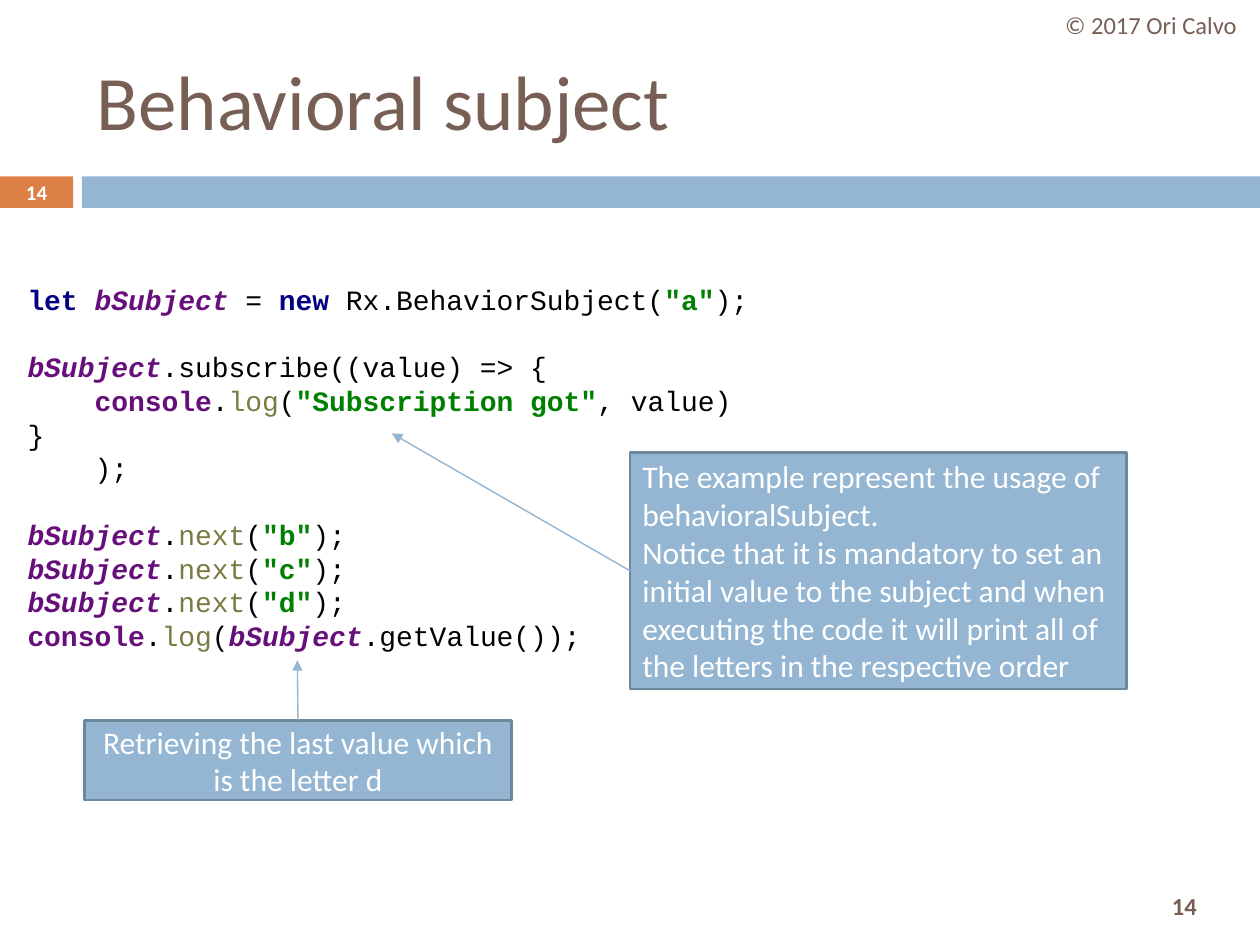
from pptx import Presentation
from pptx.dml.color import RGBColor
from pptx.enum.shapes import MSO_CONNECTOR, MSO_SHAPE
from pptx.enum.text import MSO_ANCHOR, PP_ALIGN
from pptx.oxml.ns import qn
from pptx.util import Inches, Pt
from lxml import etree

RECT = MSO_SHAPE.RECTANGLE
STRAIGHT = MSO_CONNECTOR.STRAIGHT
MIDDLE = MSO_ANCHOR.MIDDLE
LEFT, CENTER = PP_ALIGN.LEFT, PP_ALIGN.CENTER

WHITE = RGBColor(0xFF, 0xFF, 0xFF)
BLACK = RGBColor(0, 0, 0)
BROWN = RGBColor(0x77, 0x5F, 0x55)
ORANGE = RGBColor(0xDD, 0x80, 0x47)
BLUE = RGBColor(0x94, 0xB6, 0xD2)
EDGE = RGBColor(0x6D, 0x87, 0x9B)
NAVY = RGBColor(0, 0, 0x80)
PURPLE = RGBColor(0x66, 0x0E, 0x7A)
GREEN = RGBColor(0, 0x80, 0)
OLIVE = RGBColor(0x7A, 0x7A, 0x43)

SANS, MONO = "Calibri", "Courier New"
CODE_SIZE = 16

# Code styles: colour, bold, italic
PLAIN = (BLACK, False, False)
KEY = (NAVY, True, False)
VAR = (PURPLE, True, True)
GLOBAL = (PURPLE, True, False)
STR = (GREEN, True, False)
CALL = (OLIVE, False, False)


def push(letter):
    return [("bSubject", VAR), (".", PLAIN), ("next", CALL), ("(", PLAIN),
            (f'"{letter}"', STR), (");", PLAIN)]


LOG = [("console", GLOBAL), (".", PLAIN), ("log", CALL), ("(", PLAIN)]
CODE = [
    [("let ", KEY), ("bSubject ", VAR), ("= ", PLAIN), ("new ", KEY),
     ("Rx.BehaviorSubject(", PLAIN), ('"a"', STR), (");", PLAIN)],
    [],
    [("bSubject", VAR), (".subscribe((value) => {", PLAIN)],
    [("    ", PLAIN), *LOG, ('"Subscription got"', STR), (", value)", PLAIN)],
    [("}", PLAIN)],
    [("    );", PLAIN)],
    [],
    *[push(letter) for letter in "bcd"],
    [*LOG, ("bSubject", VAR), (".getValue());", PLAIN)],
]

# Bands: box, fill
BANDS = [((0, 1.4, 0.58, 0.25), ORANGE), ((0.65, 1.4, 9.35, 0.25), BLUE)]

# Labels: text, box, size, colour, bold, alignment
LABELS = [
    ("14", (8.94, 6.98, 0.92, 0.42), 14, BROWN, True, CENTER),
    ("Behavioral subject", (0.67, 0.25, 8.92, 1.08), 44, BROWN, False, LEFT),
    ("© 2017 Ori Calvo", (8.27, 0, 1.73, 0.4), 14, BROWN, False, CENTER),
    ("14", (0, 1.39, 0.58, 0.27), 11.9, WHITE, True, CENTER),
]

# Callouts: paragraphs, box, alignment, joined side, arrow start, arrow tip
NOTES = [
    (["The example represent the usage of behavioralSubject.",
      "Notice that it is mandatory to set an initial value to the subject and "
      "when executing the code it will print all of the letters in the "
      "respective order"],
     (5, 3.59, 3.94, 1.88), LEFT, 1, (5, 4.53), (3.11, 3.44)),
    (["Retrieving the last value which is the letter d"],
     (0.67, 5.72, 3.39, 0.63), CENTER, 0, (2.36, 5.72), (2.36, 5.24)),
]


def inches(nums):
    return [Inches(num) for num in nums]


def add_rect(box, fill):
    shape = slide.shapes.add_shape(RECT, *inches(box))
    shape.shadow.inherit = False
    shape.fill.solid()
    shape.fill.fore_color.rgb = fill
    shape.line.fill.background()
    return shape


def style(font, name, size, color, bold=False, italic=False):
    font.name, font.size = name, Pt(size)
    font.color.rgb = color
    font.bold, font.italic = bold, italic


def write(shape, lines, size, color, bold, align):
    frame = shape.text_frame
    frame.word_wrap = True
    frame.vertical_anchor = MIDDLE
    frame.text = "\n".join(lines)
    for para in frame.paragraphs:
        para.alignment = align
        style(para.runs[0].font, SANS, size, color, bold)


def add_arrow(start, tip, shape, side):
    arrow = slide.shapes.add_connector(STRAIGHT, *inches(start + tip))
    arrow.begin_connect(shape, side)
    arrow.line.color.rgb = BLUE
    arrow.line.width = Pt(0.79)
    line = arrow.line._get_or_add_ln()
    etree.SubElement(line, qn("a:tailEnd"), type="triangle")
    etree.SubElement(arrow._element.spPr, qn("a:effectLst"))


deck = Presentation()
deck.slide_width, deck.slide_height = Inches(10), Inches(7.5)
slide = deck.slides.add_slide(deck.slide_layouts[6])

# Bands, title and labels
for box, fill in BANDS:
    add_rect(box, fill)
for text, box, size, color, bold, align in LABELS:
    write(slide.shapes.add_textbox(*inches(box)), [text], size, color, bold, align)

# Code listing
frame = add_rect((0.12, 2.18, 9.29, 3.06), WHITE).text_frame
frame.word_wrap = True
frame.vertical_anchor = MIDDLE
para = frame.paragraphs[0]
para.alignment = LEFT
for row, tokens in enumerate(CODE):
    if row:
        para.add_line_break()
    for text, look in tokens:
        run = para.add_run()
        run.text = text
        style(run.font, MONO, CODE_SIZE, *look)
# Line breaks take the code font so empty lines keep their height
for gap in para._p.findall(qn("a:br")):
    props = etree.SubElement(gap, qn("a:rPr"), sz=str(CODE_SIZE * 100))
    etree.SubElement(props, qn("a:latin"), typeface=MONO)

# Callouts with arrows
for lines, box, align, side, start, tip in NOTES:
    note = add_rect(box, BLUE)
    note.line.color.rgb = EDGE
    note.line.width = Pt(1.5)
    write(note, lines, 18, WHITE, False, align)
    add_arrow(start, tip, note, side)

deck.save("out.pptx")
